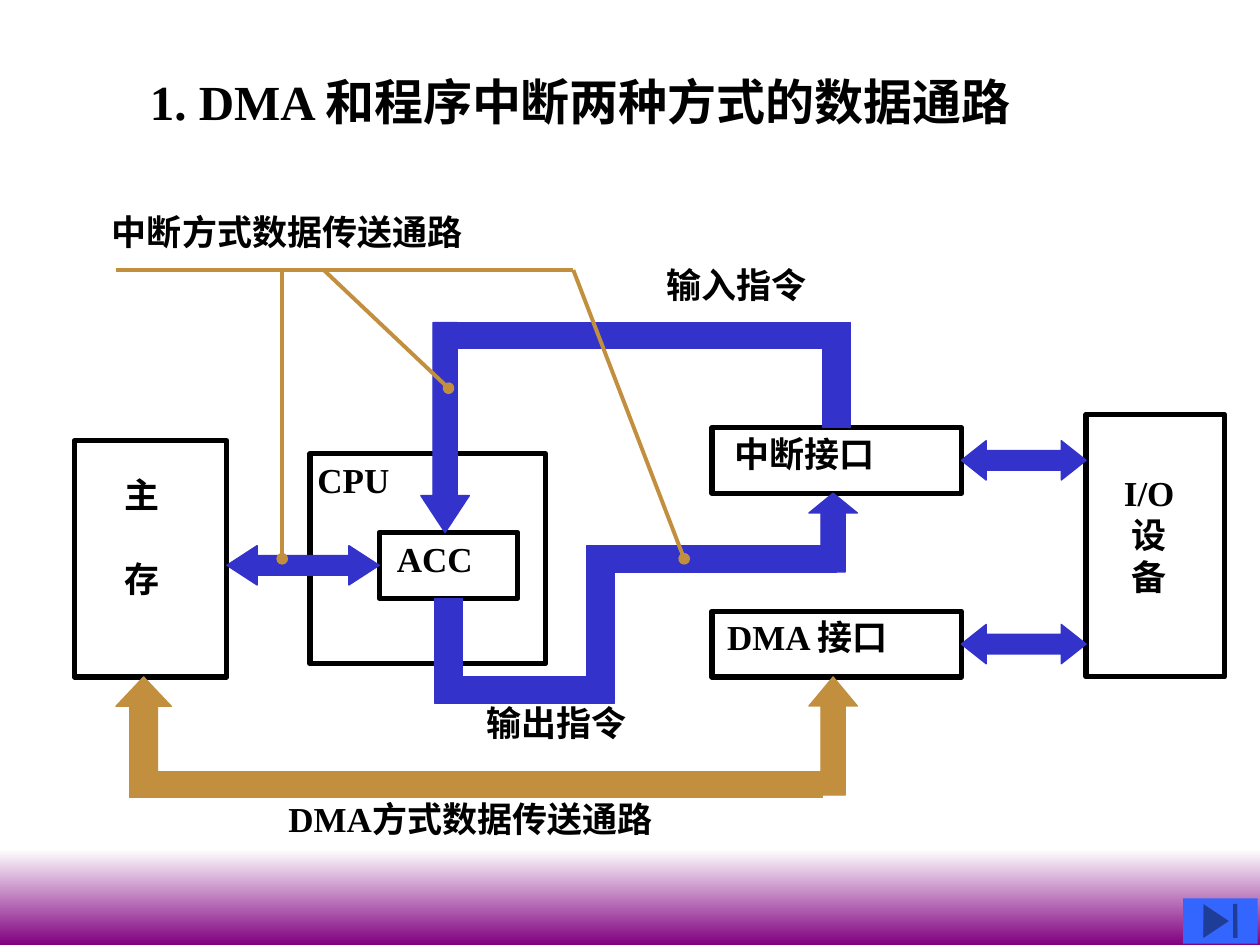
from pptx import Presentation
from pptx import util as u
from pptx.dml.color import RGBColor
from pptx.enum import shapes, text
from pptx.oxml.ns import qn
from lxml import etree

BLACK = RGBColor(0x00, 0x00, 0x00)
WHITE = RGBColor(0xFF, 0xFF, 0xFF)
PURPLE = RGBColor(0x80, 0x00, 0x80)
BLUE = RGBColor(0x33, 0x33, 0xCC)
GOLD = RGBColor(0xC2, 0x8F, 0x3E)
BUTTON_BLUE = RGBColor(0x33, 0x66, 0xFF)
FONT = "Times New Roman"
KIND = shapes.MSO_SHAPE
LEFT, CENTER = text.PP_ALIGN.LEFT, text.PP_ALIGN.CENTER

GRID_LEFT, GRID_TOP = 0.59, 2.56
COLUMN, ROW = 0.11, 1.25 / 12


def grid_point(column, row):
    return u.Inches(GRID_LEFT + column * COLUMN), u.Inches(GRID_TOP + row * ROW)


def grid_box(column, row, columns, rows):
    return (*grid_point(column, row), u.Inches(columns * COLUMN), u.Inches(rows * ROW))


def write(frame, lines, size, insets, align=LEFT, gap=0, wrap=False):
    frame.word_wrap = wrap
    frame.auto_size = text.MSO_AUTO_SIZE.NONE
    frame.vertical_anchor = text.MSO_ANCHOR.TOP
    (frame.margin_left, frame.margin_top,
     frame.margin_right, frame.margin_bottom) = map(u.Inches, insets)
    for index, line in enumerate(lines):
        paragraph = frame.paragraphs[0] if index == 0 else frame.add_paragraph()
        paragraph.text = line
        paragraph.alignment = align
        paragraph.space_before = u.Pt(gap if index else 0)
        paragraph.font.name = FONT
        paragraph.font.size = u.Pt(size)
        paragraph.font.bold = True
        paragraph.font.color.rgb = BLACK


def add_title(page, box):
    title = page.shapes.title
    title.left, title.top, title.width, title.height = map(u.Inches, box)
    write(title.text_frame, ["1. DMA 和程序中断两种方式的数据通路"], 28, (0.1, 0.05, 0.1, 0.05))


def add_unit(page, box, lines, insets, align=LEFT, gap=0):
    unit = page.shapes.add_shape(KIND.RECTANGLE, *grid_box(*box))
    unit.shadow.inherit = False
    unit.fill.background()
    unit.line.color.rgb = BLACK
    unit.line.width = u.Pt(3)
    write(unit.text_frame, lines, 20, insets, align, gap, wrap=True)


def add_bus(page, kind, color, box, head=None):
    bus = page.shapes.add_shape(kind, *grid_box(*box))
    bus.shadow.inherit = False
    if head is not None:
        bus.adjustments[0] = 0.5
        bus.adjustments[1] = head
    bus.fill.solid()
    bus.fill.fore_color.rgb = color
    bus.line.color.rgb = color
    bus.line.width = u.Pt(0.75)


def add_leader(page, start, end, dot):
    leader = page.shapes.add_connector(
        shapes.MSO_CONNECTOR.STRAIGHT, *grid_point(*start), *grid_point(*end))
    leader.line.color.rgb = GOLD
    leader.line.width = u.Pt(2.25)
    properties = leader.element.spPr
    if dot:
        etree.SubElement(properties.find(qn("a:ln")), qn("a:tailEnd"), type="oval")
    etree.SubElement(properties, qn("a:effectLst"))


def add_label(page, words, left, top, width):
    label = page.shapes.add_textbox(*map(u.Inches, (left, top, width, 0.44)))
    write(label.text_frame, [words], 20, (0.1, 0.05, 0.1, 0.05))


def add_units(page):
    add_unit(page, (17, 10, 17, 16), ["CPU"], (0.06, 0.04, 0.1, 0.05))
    add_unit(page, (0, 9, 11, 18), ["主", "存"], (0, 0.26, 0.13, 0), CENTER, gap=24)
    add_unit(page, (22, 16, 10, 5), ["ACC"], (0.14, 0.04, 0.1, 0))
    add_unit(page, (46, 8, 18, 5), ["中断接口"], (0.18, 0.04, 0.1, 0))
    add_unit(page, (46, 22, 18, 5), ["DMA 接口"], (0.12, 0.03, 0.1, 0))
    add_unit(page, (73, 7, 10, 20), ["I/O", "设", "备"], (0, 0.45, 0.1, 0), CENTER)


def add_buses(page):
    for box in ((26, 21, 2, 7), (26, 27, 12, 2), (37, 18, 2, 11), (37, 17, 18, 2),
                (54, 1, 2, 7), (26, 0, 30, 2)):
        add_bus(page, KIND.RECTANGLE, BLUE, box)
    add_bus(page, KIND.UP_ARROW, BLUE, (53, 13, 3.5, 6), 0.41)
    add_bus(page, KIND.DOWN_ARROW, BLUE, (25, 0, 3.5, 16), 0.76)
    add_bus(page, KIND.LEFT_RIGHT_ARROW, BLUE, (11, 17, 11, 3), 0.77)
    for row in (9, 23):
        add_bus(page, KIND.LEFT_RIGHT_ARROW, BLUE, (64, row, 9, 3), 0.63)
    add_bus(page, KIND.UP_ARROW, GOLD, (3, 27, 4, 9), 0.53)
    add_bus(page, KIND.RECTANGLE, GOLD, (4, 34.2, 50, 2), None)
    add_bus(page, KIND.UP_ARROW, GOLD, (53, 27, 3.5, 9), 0.6)


def add_leaders(page):
    add_leader(page, (3, -4), (36, -4), dot=False)
    for start, end in ((15, (15, 18)), (18, (27, 5)), (36, (44, 18))):
        add_leader(page, (start, -4), end, dot=True)


def add_labels(page):
    add_label(page, "中断方式数据传送通路", 0.79, 1.62, 3.01)
    add_label(page, "输入指令", 5.19, 2.04, 1.31)
    add_label(page, "输出指令", 3.76, 5.52, 1.31)
    add_label(page, "DMA方式数据传送通路", 2.19, 6.28, 3.16)


def add_footer(page, box):
    band = page.shapes.add_shape(KIND.RECTANGLE, *map(u.Inches, box))
    band.shadow.inherit = False
    band.fill.gradient()
    band.fill.gradient_angle = 270
    for stop, color in zip(band.fill.gradient_stops, (WHITE, PURPLE)):
        stop.color.rgb = color
    band.line.fill.background()


def add_end_button(page, box):
    button = page.shapes.add_shape(KIND.ACTION_BUTTON_END, *map(u.Inches, box))
    button.shadow.inherit = False
    button.fill.solid()
    button.fill.fore_color.rgb = BUTTON_BLUE
    button.line.fill.background()


def main():
    deck = Presentation()
    deck.slide_width, deck.slide_height = u.Inches(10), u.Inches(7.5)
    page = deck.slides.add_slide(deck.slide_layouts[5])
    add_footer(page, (0, 6.74, 10, 0.76))
    add_title(page, (1.09, 0.52, 7.14, 0.57))
    add_units(page)
    add_buses(page)
    add_labels(page)
    add_leaders(page)
    add_end_button(page, (9.39, 7.13, 0.59, 0.36))
    deck.save("out.pptx")


if __name__ == "__main__":
    main()
